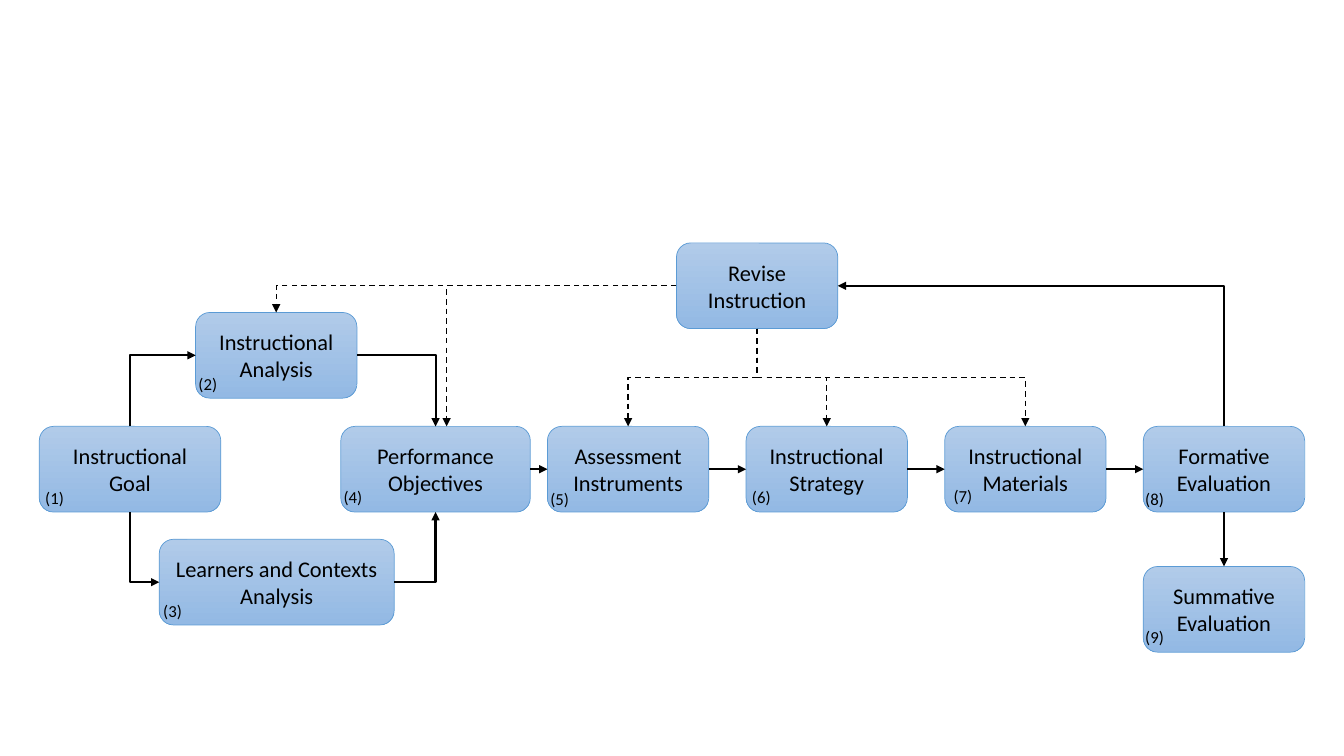
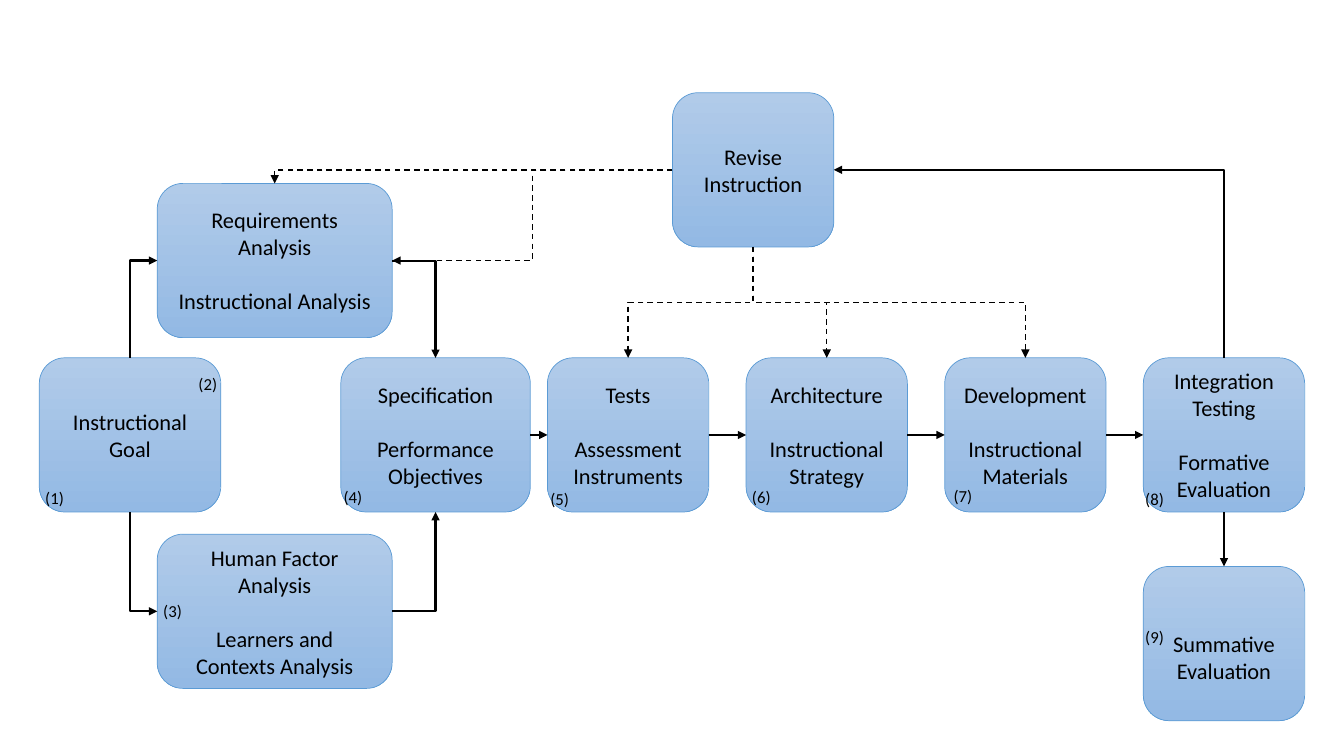
from pptx import Presentation
from pptx.dml.color import RGBColor
from pptx.enum.dml import MSO_LINE
from pptx.enum.shapes import MSO_CONNECTOR, MSO_SHAPE
from pptx.enum.text import MSO_ANCHOR, MSO_AUTO_SIZE, PP_ALIGN
from pptx.oxml.ns import qn
from pptx.util import Inches, Pt
from lxml.etree import SubElement

# Shared style
FONT = "Calibri"
BLACK, BORDER = "000000", "5B9BD5"
GRADIENT = ["B1CBE9", "93B9E4"]
LINE_HEIGHT = Pt(19.5)
TOP, LEFT, BOTTOM, RIGHT = range(4)  # connection sites of a box

# Columns shared by both diagrams: left, width
BOX_WIDTH = 1.6
GOAL, PERFORMANCE = (0.39, 1.8), (3.38, 1.88)
ASSESSMENT, STRATEGY, MATERIALS, FORMATIVE = [
    (round(5.43 + 1.97 * column, 2), BOX_WIDTH) for column in range(4)]

# Each box: column, top, paragraphs
diagrams = [
    {
        "height": 0.85,
        "boxes": {
            "goal": (GOAL, 4.23, ["Instructional Goal"]),
            "analysis": ((1.94, BOX_WIDTH), 3.1, ["Instructional Analysis"]),
            "learners": ((1.58, 2.33), 5.35, ["Learners and Contexts Analysis"]),
            "assessment": (ASSESSMENT, 4.23, ["Assessment Instruments"]),
            "strategy": (STRATEGY, 4.23, ["Instructional Strategy"]),
            "materials": (MATERIALS, 4.23, ["Instructional Materials"]),
            "formative": (FORMATIVE, 4.23, ["Formative Evaluation"]),
            "summative": (FORMATIVE, 5.62, ["Summative Evaluation"]),
            "revise": ((6.71, BOX_WIDTH), 2.41, ["Revise Instruction"]),
            "performance": (PERFORMANCE, 4.23, ["Performance Objectives"]),
        },
        "lowered": [],
        "feedback": [("analysis", TOP, 0), ("performance", TOP, 0.11)],
    },
    {
        "height": 1.53,
        "boxes": {
            "goal": (GOAL, 3.55, ["Instructional Goal"]),
            "analysis": ((1.56, 2.33), 1.82,
                         ["Requirements Analysis", "Instructional Analysis"]),
            "learners": ((1.56, 2.33), 5.3,
                         ["Human Factor Analysis", "Learners and Contexts Analysis"]),
            "assessment": (ASSESSMENT, 3.55, ["Tests", "Assessment Instruments"]),
            "strategy": (STRATEGY, 3.55, ["Architecture", "Instructional Strategy"]),
            "materials": (MATERIALS, 3.55, ["Development", "Instructional Materials"]),
            "formative": (FORMATIVE, 3.55,
                          ["Integration Testing", "Formative Evaluation"]),
            "summative": (FORMATIVE, 5.62, ["Summative Evaluation"]),
            "revise": ((6.67, BOX_WIDTH), 0.92, ["Revise Instruction"]),
            "performance": (PERFORMANCE, 3.55,
                            ["Specification", "Performance Objectives"]),
        },
        "lowered": ["summative"],
        "feedback": [("analysis", RIGHT, 0), ("analysis", TOP, 0)],
    },
]

# Solid arrows of both diagrams
flow = [
    ("goal", TOP, "analysis", LEFT),
    ("goal", BOTTOM, "learners", LEFT),
    ("learners", RIGHT, "performance", BOTTOM),
    ("analysis", RIGHT, "performance", TOP),
    ("performance", RIGHT, "assessment", LEFT),
    ("assessment", RIGHT, "strategy", LEFT),
    ("strategy", RIGHT, "materials", LEFT),
    ("materials", RIGHT, "formative", LEFT),
    ("formative", BOTTOM, "summative", TOP),
    ("formative", TOP, "revise", RIGHT),
]

# Left and top of the step numbers (1) to (9)
number_places = [(0.35, 4.79), (1.87, 3.66), (1.52, 5.91), (3.31, 4.78), (5.36, 4.8),
                 (7.36, 4.78), (9.36, 4.77), (11.26, 4.8), (11.26, 6.17)]


def connect(slide, start, start_site, finish, finish_site, dashed=False, offset=0):
    """Join two boxes; an offset moves the arrowhead along the top of the last one."""
    connector = slide.shapes.add_connector(MSO_CONNECTOR.ELBOW, 0, 0, 0, 0)
    connector.begin_connect(start, start_site)
    if offset:
        connector.end_x = finish.left + finish.width // 2 + Inches(offset)
        connector.end_y = finish.top
    else:
        connector.end_connect(finish, finish_site)

    # Route: straight when aligned, one corner when the sides differ, else two
    begin_x, begin_y = connector.begin_x, connector.begin_y
    across, down = connector.end_x - begin_x, connector.end_y - begin_y
    properties = connector._element.spPr
    geometry = properties.find(qn("a:prstGeom"))
    if min(abs(across), abs(down)) < Inches(0.01):
        geometry.set("prst", "straightConnector1")
    else:
        if start_site % 2 != finish_site % 2:
            geometry.set("prst", "bentConnector2")
        if start_site in (TOP, BOTTOM):  # leave vertically: a quarter turn
            connector.width, connector.height = abs(down), abs(across)
            connector.left = begin_x + (across - abs(down)) // 2
            connector.top = begin_y + (down - abs(across)) // 2
            frame = properties.find(qn("a:xfrm"))
            frame.set("rot", str(90 * 60000))
            frame.set("flipH", str(int(down < 0)))
            frame.set("flipV", str(int(across > 0)))

    # Line, arrowhead and no shadow
    connector.line.color.rgb = RGBColor.from_string(BLACK)
    connector.line.width = Pt(1 if dashed else 1.5)
    if dashed:
        connector.line.dash_style = MSO_LINE.DASH
    SubElement(properties.find(qn("a:ln")), qn("a:tailEnd"), type="triangle")
    SubElement(properties, qn("a:effectLst"))


def style(paragraph, size):
    paragraph.font.name = FONT
    paragraph.font.size = Pt(size)
    paragraph.font.color.rgb = RGBColor.from_string(BLACK)


presentation = Presentation()
presentation.slide_width = Inches(13.33)
presentation.slide_height = Inches(7.5)

for diagram in diagrams:
    slide = presentation.slides.add_slide(presentation.slide_layouts[6])

    # Boxes
    boxes = {}
    for name, ((left, width), top, texts) in diagram["boxes"].items():
        box = slide.shapes.add_shape(
            MSO_SHAPE.ROUNDED_RECTANGLE, Inches(left), Inches(top),
            Inches(width), Inches(diagram["height"]))
        box.shadow.inherit = False
        box.fill.gradient()
        box.fill.gradient_angle = 270
        for stop, color in zip(box.fill.gradient_stops, GRADIENT):
            stop.color.rgb = RGBColor.from_string(color)
        box.line.color.rgb = RGBColor.from_string(BORDER)
        box.line.width = Pt(0.5)
        frame = box.text_frame
        frame.word_wrap = True
        frame.vertical_anchor = MSO_ANCHOR.MIDDLE
        if name in diagram["lowered"]:
            frame.margin_top += LINE_HEIGHT
        for index, text in enumerate(texts):
            paragraph = frame.add_paragraph() if index else frame.paragraphs[0]
            paragraph.text = text
            paragraph.alignment = PP_ALIGN.CENTER
            if index:
                paragraph.space_before = LINE_HEIGHT
            style(paragraph, 16)
        boxes[name] = box

    # Solid flow, then dashed feedback from the revision
    for start, start_site, finish, finish_site in flow:
        connect(slide, boxes[start], start_site, boxes[finish], finish_site)
    for finish, site, offset in diagram["feedback"]:
        connect(slide, boxes["revise"], LEFT, boxes[finish], site, True, offset)
    for finish in ("assessment", "strategy", "materials"):
        connect(slide, boxes["revise"], BOTTOM, boxes[finish], TOP, True)

    # Step numbers
    for number, (left, top) in enumerate(number_places, 1):
        label = slide.shapes.add_textbox(
            Inches(left), Inches(top), Inches(0.42), Inches(0.3))
        label.text_frame.word_wrap = False
        label.text_frame.auto_size = MSO_AUTO_SIZE.SHAPE_TO_FIT_TEXT
        paragraph = label.text_frame.paragraphs[0]
        paragraph.text = f"({number})"
        style(paragraph, 12)

presentation.save("out.pptx")
